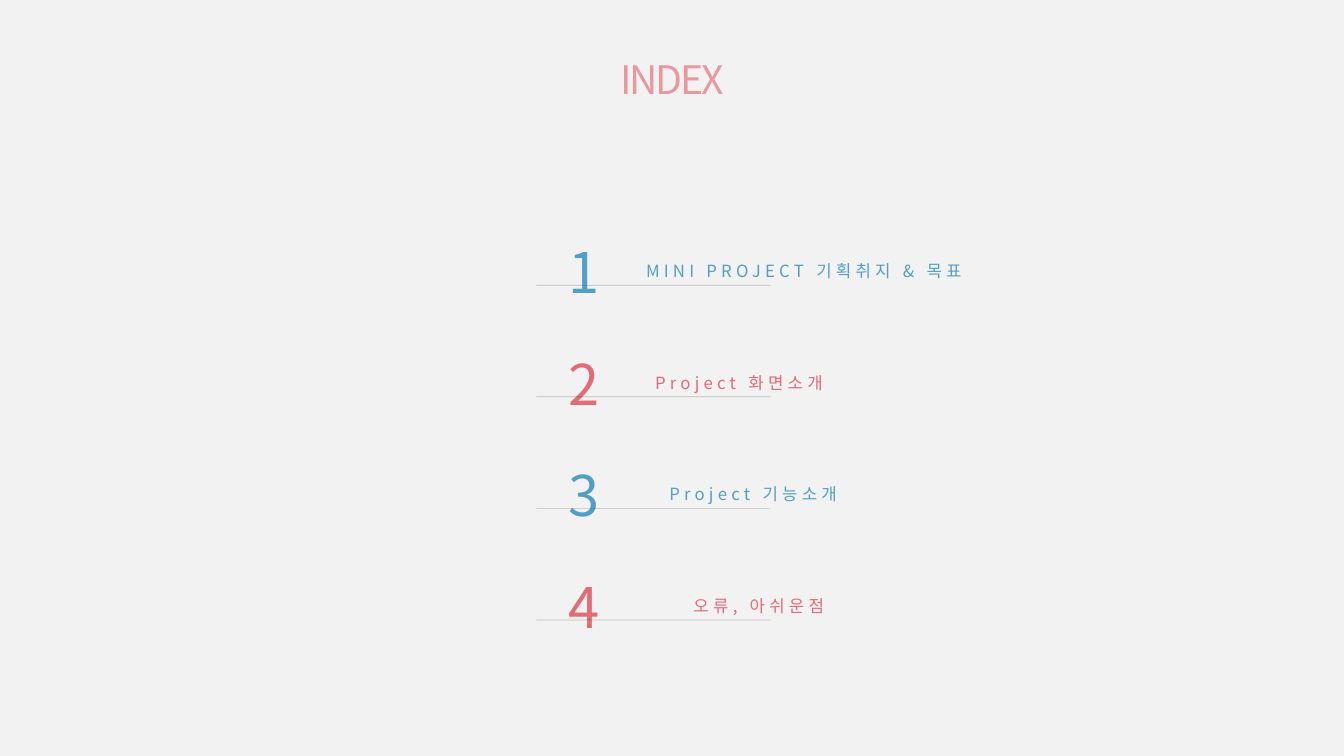
from lxml import etree
from pptx import Presentation
from pptx.dml.color import RGBColor
from pptx.enum.shapes import MSO_CONNECTOR
from pptx.enum.text import MSO_AUTO_SIZE, PP_ALIGN
from pptx.oxml.ns import qn
from pptx.util import Inches, Pt

COLORS = {"background": "F2F2F2", "blue": "529FC6", "red": "E46A73", "rule": "404040"}
FONT = "Noto Sans CJK KR"
FIRST_TOP, PITCH = 2.31, 3.32 / 3
ENTRIES = [
    ("MINI PROJECT 기획취지 & 목표", 6.31, 3.66),
    ("Project 화면소개", 6.4, 2.03),
    ("Project 기능소개", 6.54, 2.03),
    ("오류, 아쉬운점", 6.78, 1.67),
]


def add_text(text, box, size, color, spacing, align):
    """Place one unwrapped line; spacing is in points. Return its font properties."""
    frame = slide.shapes.add_textbox(*map(Inches, box)).text_frame
    frame.word_wrap = False
    frame.auto_size = MSO_AUTO_SIZE.SHAPE_TO_FIT_TEXT
    paragraph = frame.paragraphs[0]
    paragraph.text = text
    paragraph.alignment = align
    paragraph.font.size = Pt(size)
    paragraph.font.name = FONT
    paragraph.font.color.rgb = RGBColor.from_string(COLORS[color])
    properties = paragraph._p.pPr.find(qn("a:defRPr"))
    properties.set("spc", str(int(spacing * 100)))
    east_asian = etree.Element(qn("a:ea"), typeface=FONT)
    properties.find(qn("a:latin")).addnext(east_asian)
    return properties


def set_opacity(element, percent):
    color = next(element.iter(qn("a:srgbClr")))
    etree.SubElement(color, qn("a:alpha"), val=str(percent * 1000))


prs = Presentation()
prs.slide_width, prs.slide_height = Inches(13.33), Inches(7.5)
slide = prs.slides.add_slide(prs.slide_layouts[6])
slide.background.fill.solid()
slide.background.fill.fore_color.rgb = RGBColor.from_string(COLORS["background"])

heading = add_text("INDEX", (6.03, 0.5, 1.27, 0.57), 28, "red", -1.5, PP_ALIGN.CENTER)
set_opacity(heading, 66)

for index, (topic, left, width) in enumerate(ENTRIES):
    top = FIRST_TOP + index * PITCH
    color = ("blue", "red")[index % 2]
    add_text(topic, (left, top + 0.23, width, 0.3), 12, color, 3, PP_ALIGN.LEFT)
    add_text(str(index + 1), (5.53, top, 0.53, 0.77), 40, color, -1.5, PP_ALIGN.CENTER)

    rule_y = Inches(top + 0.52)
    rule = slide.shapes.add_connector(
        MSO_CONNECTOR.STRAIGHT, Inches(5.32), rule_y, Inches(7.64), rule_y)
    rule.line.width = Pt(0.5)
    rule.line.color.rgb = RGBColor.from_string(COLORS["rule"])
    set_opacity(rule._element.spPr, 29)
    etree.SubElement(rule._element.spPr, qn("a:effectLst"))

prs.save("out.pptx")
